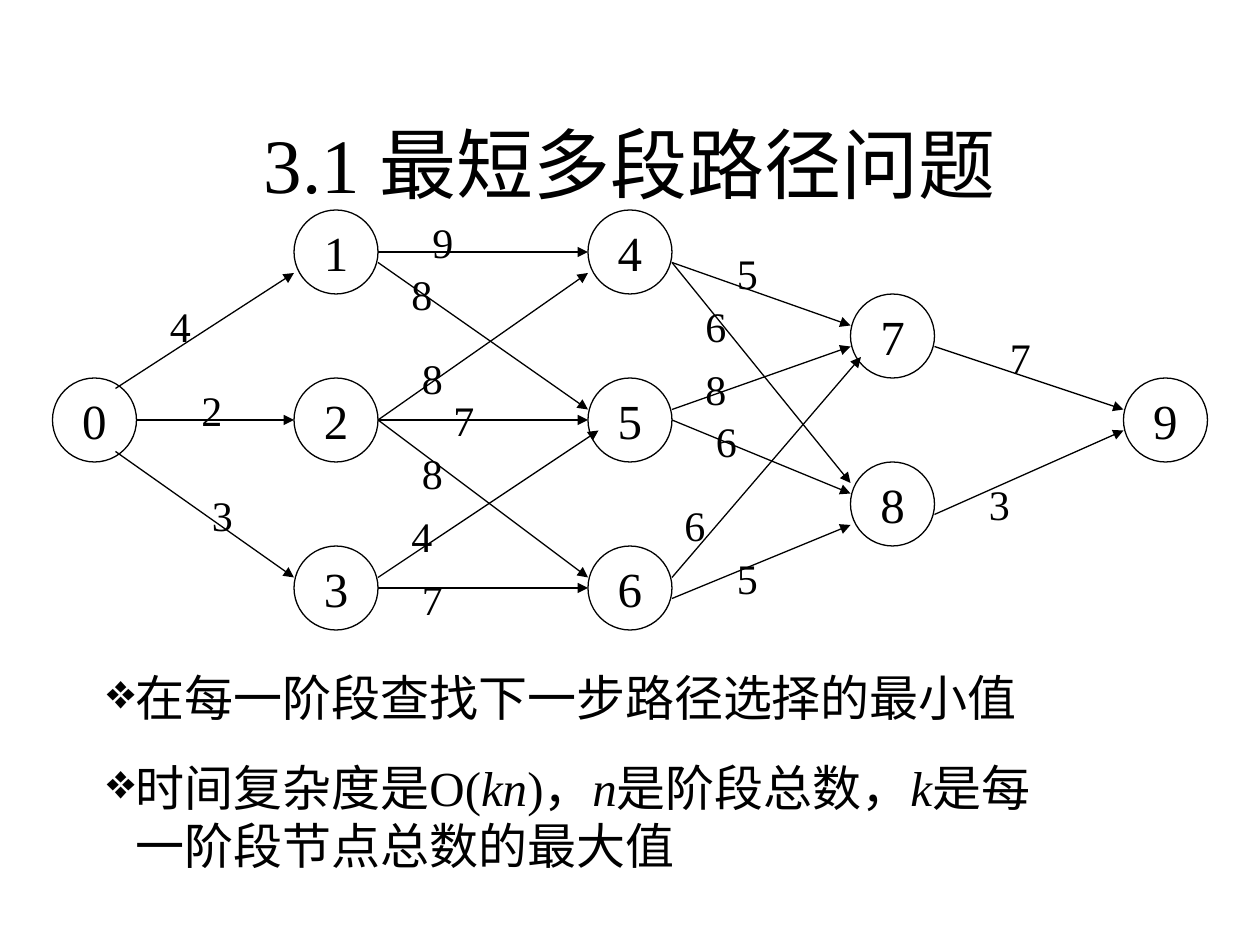
from lxml import etree
from pptx import Presentation
from pptx import util as u
from pptx.dml.color import RGBColor
from pptx.enum import shapes, text
from pptx.oxml import ns

COLORS = {"ink": "000000", "paper": "FFFFFF"}
FONT = "Times New Roman"
INK = RGBColor.from_string(COLORS["ink"])
PAPER = RGBColor.from_string(COLORS["paper"])
GRID = u.Inches(1) / 12


def cells(*counts):
    return [round(count * GRID) for count in counts]


def add_span(para, words, size, italic=False):
    span = para.add_run()
    span.text = words
    span.font.name = FONT
    span.font.size = u.Pt(size)
    span.font.italic = italic
    span.font.color.rgb = INK


deck = Presentation()
deck.slide_width = u.Inches(10)
deck.slide_height = u.Inches(7.5)
page = deck.slides.add_slide(deck.slide_layouts[6])

title = page.shapes.add_textbox(*cells(9, 8, 102, 15)).text_frame
title.word_wrap = True
title.vertical_anchor = text.MSO_ANCHOR.MIDDLE
title.paragraphs[0].alignment = text.PP_ALIGN.CENTER
add_span(title.paragraphs[0], "3.1 最短多段路径问题", 44)

node_places = [
    (5, 36),
    (28, 20), (28, 36), (28, 52),
    (56, 20), (56, 36), (56, 52),
    (81, 28), (81, 44),
    (107, 36),
]
for number, (left, top) in enumerate(node_places):
    node = page.shapes.add_shape(shapes.MSO_SHAPE.OVAL, *cells(left, top, 8, 8))
    node.shadow.inherit = False
    node.fill.solid()
    node.fill.fore_color.rgb = PAPER
    node.line.color.rgb = INK
    node.line.width = u.Pt(0.75)
    node.text_frame.word_wrap = False
    node.text_frame.vertical_anchor = text.MSO_ANCHOR.MIDDLE
    para = node.text_frame.paragraphs[0]
    para.alignment = text.PP_ALIGN.CENTER
    add_span(para, str(number), 28)

edges = [
    ((11, 37, 28, 26), "4", (15, 28)),
    ((13, 40, 28, 40), "2", (18, 36)),
    ((11, 43, 28, 55), "3", (19, 46)),
    ((36, 24, 56, 24), "9", (40, 20)),
    ((36, 25, 56, 39), "8", (38, 25)),
    ((36, 40, 56, 26), "8", (39, 33)),
    ((36, 40, 56, 40), "7", (42, 37)),
    ((36, 40, 56, 55), "8", (39, 42)),
    ((36, 55, 57, 41), "4", (38, 48)),
    ((36, 56, 56, 56), "7", (39, 54)),
    ((64, 25, 81, 31), "5", (69, 23)),
    ((64, 25, 81, 46), "6", (66, 28)),
    ((64, 39, 81, 33), "8", (66, 34)),
    ((64, 40, 81, 47), "6", (67, 39)),
    ((64, 55, 82, 34), "6", (64, 47)),
    ((64, 57, 81, 50), "5", (69, 52)),
    ((89, 33, 107, 39), "7", (95, 31)),
    ((89, 49, 107, 41), "3", (93, 45)),
]
for ends, cost, place in edges:
    arrow = page.shapes.add_connector(shapes.MSO_CONNECTOR.STRAIGHT, *cells(*ends))
    arrow.line.color.rgb = INK
    arrow.line.width = u.Pt(0.75)
    etree.SubElement(arrow.line._get_or_add_ln(), ns.qn("a:tailEnd"), type="triangle")
    etree.SubElement(arrow._element.spPr, ns.qn("a:effectLst"))

for ends, cost, place in edges:
    label = page.shapes.add_textbox(*cells(*place, 5, 6)).text_frame
    label.word_wrap = True
    label.paragraphs[0].space_before = u.Pt(15)
    add_span(label.paragraphs[0], cost, 24)

notes = [
    [("在每一阶段查找下一步路径选择的最小值", False)],
    [
        ("时间复杂度是O(", False), ("kn", True), (")，", False), ("n", True),
        ("是阶段总数，", False), ("k", True), ("是每一阶段节点总数的最大值", False),
    ],
]
box = page.shapes.add_textbox(*cells(9, 63, 92, 21)).text_frame
box.word_wrap = True
for index, spans in enumerate(notes):
    para = box.add_paragraph() if index else box.paragraphs[0]
    para.space_before = u.Pt(17.5)
    props = para._p.get_or_add_pPr()
    props.set("marL", str(u.Inches(0.23)))
    props.set("indent", str(-u.Inches(0.23)))
    bullet_color = etree.SubElement(props, ns.qn("a:buClr"))
    etree.SubElement(bullet_color, ns.qn("a:srgbClr"), val=COLORS["ink"])
    etree.SubElement(props, ns.qn("a:buChar"), char="❖")
    for words, italic in spans:
        add_span(para, words, 28, italic)

deck.save("out.pptx")
